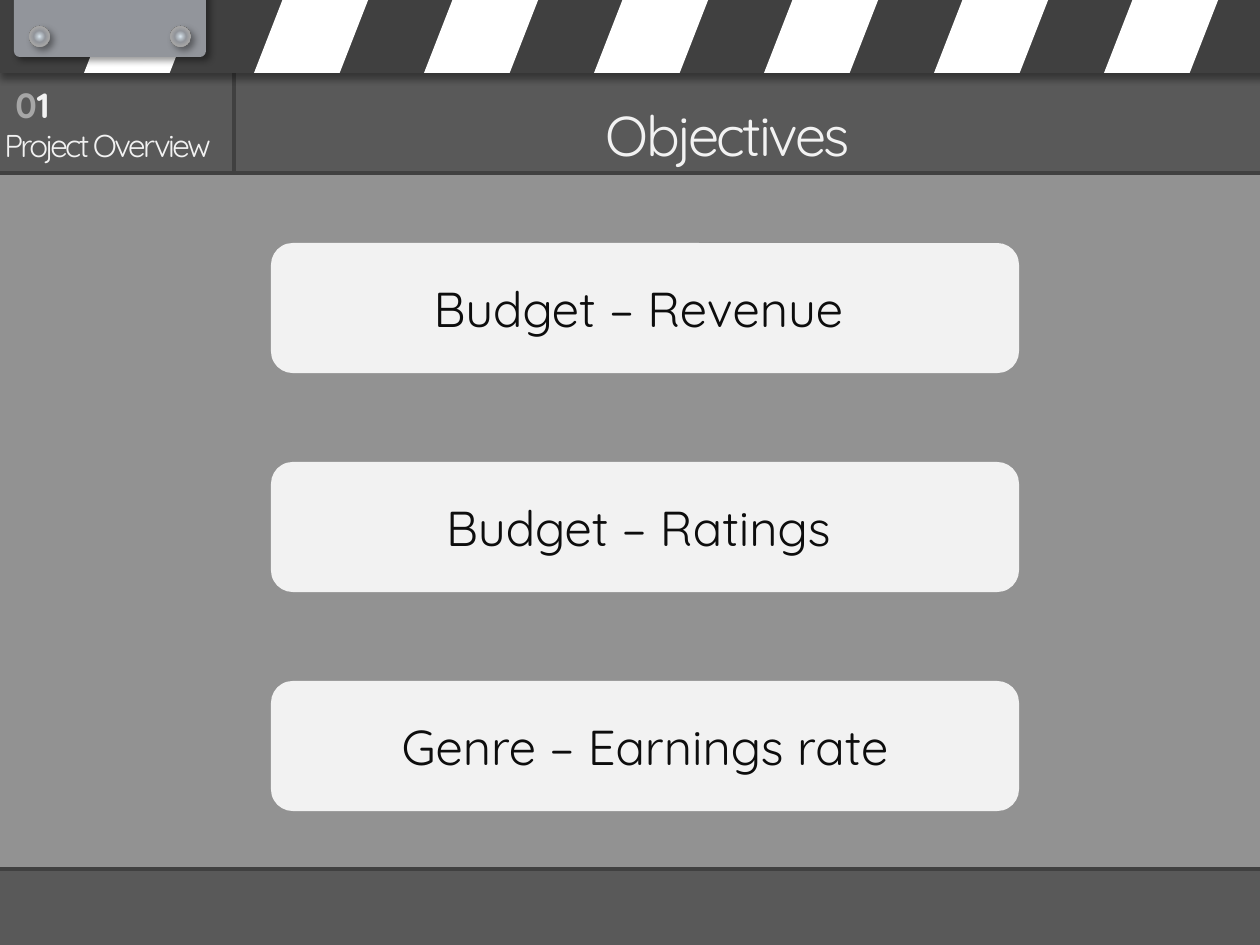
"""Builds a clapperboard-styled slide that lists the project objectives."""
import pptx
import pptx.dml.color
import pptx.enum.shapes
import pptx.enum.text
import pptx.oxml
import pptx.oxml.ns
import pptx.util

RGB = pptx.dml.color.RGBColor
SHAPE = pptx.enum.shapes.MSO_SHAPE
ALIGN = pptx.enum.text.PP_ALIGN
ANCHOR = pptx.enum.text.MSO_ANCHOR
DRAWING = pptx.oxml.ns.nsdecls("a")

PX = 914400 / 126
WHITE = RGB(0xFF, 0xFF, 0xFF)
PALE = RGB(0xF2, 0xF2, 0xF2)
MUTED = RGB(0xA6, 0xA6, 0xA6)
STEEL = RGB(0x92, 0x95, 0x9B)
GREY = RGB(0x59, 0x59, 0x59)
DARK = RGB(0x40, 0x40, 0x40)
INK = RGB(0x0D, 0x0D, 0x0D)
BOLT_STOPS = [(2, RGB(0xD7, 0xE2, 0xEA)), (17, RGB(0xB6, 0xBE, 0xC5)),
              (39, STEEL), (67, MUTED), (76, GREY)]

FONT = "Quicksand"
BUTTON_TEXT = {"name": FONT, "size": pptx.util.Pt(28), "bold": False}
LABEL_TEXT = {"name": FONT, "size": pptx.util.Pt(18), "bold": False}
NUMBER_TEXT = {"name": FONT, "size": pptx.util.Pt(20), "bold": True}
TITLE_TEXT = {"name": FONT, "size": pptx.util.Pt(32), "bold": False}
OBJECTIVES = ["Budget – Revenue ", "Budget – Ratings ", "Genre – Earnings rate"]


def emu(*lengths):
    """Turn px lengths into EMU."""
    return [pptx.util.Emu(round(length * PX)) for length in lengths]


def add_block(page, kind, place, color, adjust=None):
    """Add a plain filled shape without line or shadow."""
    block = page.shapes.add_shape(kind, *emu(*place))
    block.shadow.inherit = False
    block.fill.solid()
    block.fill.fore_color.rgb = color
    block.line.fill.background()
    if adjust is not None:
        block.adjustments[0] = adjust
    return block


def add_shadow(block, angle):
    """Give a shape a soft dark shadow in the given direction."""
    effects = block.element.spPr.find(pptx.oxml.ns.qn("a:effectLst"))
    effects.append(pptx.oxml.parse_xml(
        f'<a:outerShdw {DRAWING} blurRad="50800" dist="38100" dir="{angle * 60000}" '
        'algn="t" rotWithShape="0"><a:srgbClr val="000000"><a:alpha val="40000"/>'
        '</a:srgbClr></a:outerShdw>'))


def set_opacity(block, percent):
    """Make a solid fill partly transparent."""
    color = block.element.spPr.find(".//" + pptx.oxml.ns.qn("a:srgbClr"))
    color.append(pptx.oxml.parse_xml(f'<a:alpha {DRAWING} val="{percent * 1000}"/>'))


def add_bolt(page, left):
    """Add a bolt head with a radial gradient."""
    bolt = add_block(page, SHAPE.OVAL, (left, 26, 21, 21), STEEL)
    stops = "".join(f'<a:gs pos="{at * 1000}"><a:srgbClr val="{color}"/></a:gs>'
                    for at, color in BOLT_STOPS)
    gradient = pptx.oxml.parse_xml(
        f'<a:gradFill {DRAWING}><a:gsLst>{stops}</a:gsLst><a:path path="circle">'
        '<a:fillToRect l="50000" t="50000" r="50000" b="50000"/></a:path></a:gradFill>')
    properties = bolt.element.spPr
    properties.replace(properties.find(pptx.oxml.ns.qn("a:solidFill")), gradient)
    add_shadow(bolt, 45)


def add_rule(page, *ends):
    """Add a straight dark line between two points."""
    rule = page.shapes.add_connector(pptx.enum.shapes.MSO_CONNECTOR.STRAIGHT, *emu(*ends))
    rule.line.color.rgb = DARK
    rule.line.width = pptx.util.Pt(2)
    rule.element.spPr.append(pptx.oxml.parse_xml(f"<a:effectLst {DRAWING}/>"))


def write(box, pieces, text_format, align=ALIGN.LEFT, anchor=ANCHOR.TOP, spacing=None):
    """Write coloured pieces of text as one paragraph."""
    frame = box.text_frame
    frame.word_wrap = True
    frame.auto_size = pptx.enum.text.MSO_AUTO_SIZE.NONE
    frame.vertical_anchor = anchor
    para = frame.paragraphs[0]
    para.alignment = align
    for text, color in pieces:
        span = para.add_run()
        span.text = text
        for name, value in text_format.items():
            setattr(span.font, name, value)
        span.font.color.rgb = color
        if spacing is not None:
            span.font._element.set("spc", str(round(spacing * 100)))


def add_clapper(page):
    """Draw the striped bar, its bolted plate and the dividing lines."""
    panel = add_block(page, SHAPE.ROUNDED_RECTANGLE, (-11, 173, 1285, 697), WHITE, 0.025)
    set_opacity(panel, 35)
    add_rule(page, 234, 73, 234, 173)
    bar = add_block(page, SHAPE.RECTANGLE, (0, -15, 1274, 88), DARK)
    add_shadow(bar, 90)
    for index in range(7):
        add_block(page, SHAPE.PARALLELOGRAM, (84 + 170 * index, -15, 120, 88), WHITE, 0.39)
    plate = add_block(page, SHAPE.ROUNDED_RECTANGLE, (14, -40, 192, 97), STEEL, 0.06)
    add_shadow(plate, 45)
    for left in (29, 170):
        add_bolt(page, left)
    for top in (173, 869):
        add_rule(page, -11, top, 1274, top)
    add_block(page, SHAPE.RECTANGLE, (309, 881, 675, 37), GREY)


def add_headings(page):
    """Write the section number, section name and title."""
    label = page.shapes.add_textbox(*emu(-8, 120, 265, 50))
    write(label, [("Project Overview", PALE)], LABEL_TEXT, spacing=-1.5)
    number = page.shapes.add_textbox(*emu(3, 77, 81, 55))
    write(number, [("0", MUTED), ("1", PALE)], NUMBER_TEXT)
    title = page.shapes.title
    title.left, title.top, title.width, title.height = emu(244, 94, 968, 81)
    write(title, [("Objectives", PALE)], TITLE_TEXT, ALIGN.CENTER, spacing=-1.5)


def add_objectives(page):
    """Add one evenly spaced button for each objective."""
    for index, text in enumerate(OBJECTIVES):
        place = (271, 243 + 219 * index, 748, 130)
        button = add_block(page, SHAPE.ROUNDED_RECTANGLE, place, PALE)
        write(button, [(text, INK)], BUTTON_TEXT, ALIGN.CENTER, ANCHOR.MIDDLE)


def main():
    """Build and save the deck."""
    deck = pptx.Presentation()
    deck.slide_width, deck.slide_height = emu(1260, 945)
    page = deck.slides.add_slide(deck.slide_layouts[5])
    page.background.fill.solid()
    page.background.fill.fore_color.rgb = GREY
    add_clapper(page)
    add_headings(page)
    add_objectives(page)
    deck.save("out.pptx")


if __name__ == "__main__":
    main()
